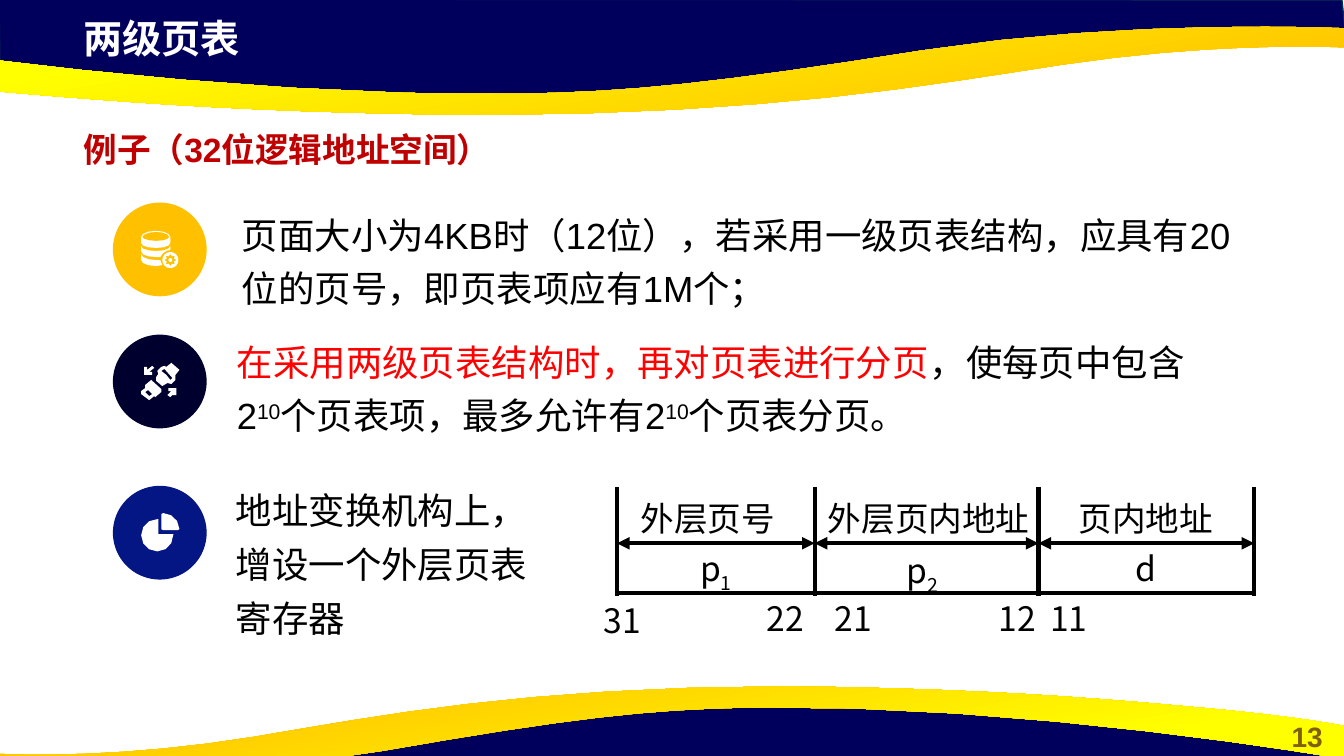
import math
from dataclasses import dataclass

from lxml import etree
from pptx import Presentation
from pptx.dml.color import RGBColor
from pptx.enum import shapes as shape_kinds, text as text_kinds
from pptx.oxml import ns
from pptx.util import Inches, Pt


@dataclass(frozen=True)
class Theme:
    navy: str = "00005C"
    navy_edge: str = "05304F"
    amber: str = "FFC000"
    yellow: str = "FFFF00"
    night: str = "00002E"
    blue: str = "031684"
    white: str = "FFFFFF"
    black: str = "000000"
    red: str = "FF0000"
    heading: str = "C00000"
    olive: str = "806000"
    latin: str = "Arial"
    cjk: str = "Noto Sans CJK SC"
    title_size: int = 28
    body_size: int = 26
    label_size: int = 24
    number_size: int = 20


THEME = Theme()
ALIGN = text_kinds.PP_ALIGN
ANCHOR = text_kinds.MSO_ANCHOR

# In every outline a pair is a corner and a six-tuple is a cubic curve.
NAVY_WAVE = [(-0.01, -0.01), (0, 0.7), (2.93, 1.02), (5.59, 1), (7.95, 0.88),
             (10.16, 0.5), (12.38, 0.33), (13.35, 0.38), (13.31, 0)]
GOLD_WAVE = [(4.83, 1.14), (4.43, 1.14, 4.01, 1.13, 3.56, 1.12),
             (2.06, 1.08, 1.1, 1, 0.36, 0.94), (-0.88, 0.84, -1.3, 0.75, -1.33, 0.75),
             (-1.33, 0.42), (-1.33, 0.42, 2.18, 0.98, 5.17, 0.93),
             (6.26, 0.91, 7.08, 0.83, 9.15, 0.5), (11.21, 0.18, 13.33, 0.28, 13.33, 0.28),
             (13.33, 0.47), (13.3, 0.47), (13.05, 0.46, 11.95, 0.43, 10.55, 0.64),
             (9.18, 0.85, 7.62, 1.13, 4.83, 1.14)]
PIE_ICON = [
    [(1.57, 5.15), (1.57, 5.3), (1.72, 5.3), (1.72, 5.4, 1.65, 5.47, 1.56, 5.47),
     (1.47, 5.47, 1.4, 5.4, 1.4, 5.31), (1.4, 5.22, 1.47, 5.15, 1.56, 5.15)],
    [(1.62, 5.09), (1.7, 5.09, 1.78, 5.16, 1.78, 5.25), (1.76, 5.26), (1.62, 5.26),
     (1.6, 5.25), (1.6, 5.1)]]
SATELLITE_ICON = [
    [(1.47, 3.87), (1.44, 3.89), (1.48, 3.93), (1.51, 3.91)],
    [(1.67, 3.85), (1.75, 3.85), (1.75, 3.92), (1.71, 3.92), (1.69, 3.94), (1.66, 3.92),
     (1.7, 3.88), (1.67, 3.88)],
    [(1.5, 3.77), (1.6, 3.86), (1.6, 3.89), (1.54, 3.94), (1.53, 3.93), (1.48, 3.97),
     (1.4, 3.91), (1.4, 3.88), (1.44, 3.85), (1.44, 3.82)],
    [(1.63, 3.66), (1.6, 3.68), (1.65, 3.72), (1.69, 3.77), (1.71, 3.75)],
    [(1.51, 3.63), (1.53, 3.65), (1.48, 3.69), (1.51, 3.69), (1.51, 3.72), (1.43, 3.72),
     (1.43, 3.64), (1.46, 3.64), (1.46, 3.67)],
    [(1.7, 3.6), (1.78, 3.67), (1.74, 3.72), (1.74, 3.77), (1.7, 3.81), (1.66, 3.8),
     (1.61, 3.83), (1.55, 3.78), (1.55, 3.74), (1.57, 3.71), (1.56, 3.68), (1.6, 3.64),
     (1.63, 3.63), (1.65, 3.64)]]


def circular(x, y, radii, count=16):
    """Closed outline round (x, y), whose radii take turns."""
    return [(x + radii[i % len(radii)] * math.cos(math.tau * i / count),
             y + radii[i % len(radii)] * math.sin(math.tau * i / count))
            for i in range(count)]


DATABASE_ICON = [
    circular(1.69, 2.58, [0.08]),
    circular(1.69, 2.58, [0.06, 0.04]),
    circular(1.69, 2.58, [0.02], count=8),
    [(1.4, 2.52), (1.4, 2.55, 1.46, 2.58, 1.55, 2.58), (1.59, 2.58), (1.61, 2.63),
     (1.55, 2.64), (1.46, 2.64, 1.4, 2.61, 1.4, 2.58)],
    [(1.4, 2.44), (1.4, 2.47, 1.46, 2.49, 1.55, 2.49), (1.63, 2.49, 1.69, 2.47, 1.69, 2.44),
     (1.69, 2.48), (1.65, 2.48, 1.61, 2.51, 1.59, 2.55), (1.55, 2.55),
     (1.46, 2.55, 1.4, 2.53, 1.4, 2.49)],
    [(1.55, 2.29), (1.63, 2.29, 1.69, 2.32, 1.69, 2.35), (1.69, 2.41),
     (1.69, 2.44, 1.63, 2.46, 1.55, 2.46), (1.46, 2.46, 1.4, 2.44, 1.4, 2.41), (1.4, 2.35),
     (1.4, 2.32, 1.46, 2.29, 1.55, 2.29)],
    [(1.55, 2.3), (1.47, 2.3, 1.41, 2.33, 1.41, 2.35), (1.41, 2.37, 1.47, 2.39, 1.55, 2.39),
     (1.63, 2.39, 1.68, 2.37, 1.68, 2.35), (1.68, 2.33, 1.63, 2.3, 1.55, 2.3)]]


def flatten(outline):
    """Turn curves into short straight pieces, three for a small curve, eight for a large."""
    points = []
    for part in outline:
        if len(part) == 2:
            points.append(part)
            continue
        corners = [points[-1], part[:2], part[2:4], part[4:]]
        steps = 8 if math.dist(corners[0], corners[-1]) > 0.4 else 3
        for step in range(1, steps + 1):
            t = step / steps
            weights = [math.comb(3, i) * t**i * (1 - t)**(3 - i) for i in range(4)]
            points.append(tuple(sum(w * c[axis] for w, c in zip(weights, corners))
                                for axis in (0, 1)))
    return points


def paint(shape, color, edge=None):
    shape.shadow.inherit = False
    shape.fill.solid()
    shape.fill.fore_color.rgb = RGBColor.from_string(color)
    if edge:
        shape.line.color.rgb = RGBColor.from_string(edge)
        shape.line.width = Pt(1)
    else:
        shape.line.fill.background()


def add_outline(shapes, outlines, color, edge=None):
    loops = [[(Inches(x), Inches(y)) for x, y in flatten(outline)] for outline in outlines]
    builder = shapes.build_freeform(*loops[0][0])
    for number, loop in enumerate(loops):
        if number:
            builder.move_to(*loop[0])
        builder.add_line_segments(loop[1:], close=True)
    shape = builder.convert_to_shape()
    paint(shape, color, edge)
    return shape


def add_gold_wave(shapes, outline, angle):
    wave = add_outline(shapes, [outline], THEME.amber)
    wave.fill.gradient()
    wave.fill.gradient_angle = angle
    stops = [(0.11, THEME.amber), (0.78, THEME.yellow)]
    for stop, (position, color) in zip(wave.fill.gradient_stops, stops):
        stop.position = position
        stop.color.rgb = RGBColor.from_string(color)


def add_text(shapes, text, left, top, width, height, *, size, color=THEME.black,
             font=THEME.latin, bold=False, align=ALIGN.LEFT, anchor=ANCHOR.TOP,
             indent=0, spacing=None, wrap=True):
    """Text is a string or a list of (string, colour, baseline percent)."""
    box = shapes.add_textbox(Inches(left), Inches(top), Inches(width), Inches(height))
    box.text_frame.word_wrap = wrap
    box.text_frame.vertical_anchor = anchor
    para = box.text_frame.paragraphs[0]
    para.alignment = align
    if spacing:
        para.line_spacing = spacing
    if indent:
        para._p.get_or_add_pPr().set("marL", str(Inches(indent)))
    for words, shade, baseline in [(text, color, 0)] if isinstance(text, str) else text:
        span = para.add_run()
        span.text = words
        span.font.size = Pt(size)
        span.font.bold = bold
        span.font.color.rgb = RGBColor.from_string(shade)
        span.font.name = font
        props = span._r.get_or_add_rPr()
        etree.SubElement(props, ns.qn("a:ea"), typeface=THEME.cjk)
        if baseline:
            props.set("baseline", str(baseline * 1000))


def add_rule(shapes, x1, y1, x2, y2, arrows=False):
    rule = shapes.add_connector(shape_kinds.MSO_CONNECTOR.STRAIGHT,
                                Inches(x1), Inches(y1), Inches(x2), Inches(y2))
    rule.line.color.rgb = RGBColor.from_string(THEME.black)
    rule.line.width = Pt(3)
    if arrows:
        for end in ("a:headEnd", "a:tailEnd"):
            etree.SubElement(rule.line._get_or_add_ln(), ns.qn(end), type="triangle")
    etree.SubElement(rule._element.spPr, ns.qn("a:effectLst"))


def add_waves(shapes):
    """The lower waves are the upper ones turned half round."""
    add_outline(shapes, [NAVY_WAVE], THEME.navy, THEME.navy_edge)
    add_gold_wave(shapes, GOLD_WAVE, 100)
    add_outline(shapes, [[(13.32 - x, 7.93 - y) for x, y in NAVY_WAVE]],
                THEME.navy, THEME.navy_edge)
    squeeze = 13.34 / 14.66
    turned = [tuple(7.95 - v if i % 2 else 13.33 - (v + 1.33) * squeeze
                    for i, v in enumerate(part)) for part in GOLD_WAVE]
    add_gold_wave(shapes, turned, 280)


def add_badge(shapes, top, color, icon):
    disc = shapes.add_shape(shape_kinds.MSO_SHAPE.OVAL, Inches(1.12), Inches(top),
                            Inches(0.93), Inches(0.93))
    paint(disc, color)
    add_outline(shapes, icon, THEME.white)


def add_address_diagram(shapes):
    edges = [6.12, 8.08, 10.3, 12.44]
    for x in edges:
        add_rule(shapes, x, 4.83, x, 5.91)
    add_rule(shapes, edges[0], 5.88, edges[-1], 5.88)
    for left, right in zip(edges, edges[1:]):
        add_rule(shapes, left, 5.39, right, 5.39, arrows=True)
    labels = [("外层页号", 6.21, 4.89, 1.62), ("外层页内地址", 8.1, 4.89, 2.22),
              ("页内地址", 10.47, 4.89, 1.79),
              ([("p", THEME.black, 0), ("1", THEME.black, -25)], 6.46, 5.39, 1.28),
              ([("p", THEME.black, 0), ("2", THEME.black, -25)], 8.51, 5.41, 1.28),
              ("d", 10.73, 5.39, 1.28), ("31", 5.87, 5.9, 0.6), ("22", 7.49, 5.88, 0.6),
              ("21", 8.08, 5.88, 0.77), ("12", 9.62, 5.88, 0.94), ("11", 10.13, 5.88, 0.94)]
    for label, left, top, width in labels:
        add_text(shapes, label, left, top, width, 0.51, size=THEME.label_size,
                 font=THEME.cjk, align=ALIGN.CENTER, wrap=False)


def main():
    deck = Presentation()
    deck.slide_width, deck.slide_height = Inches(13.33), Inches(7.5)
    page = deck.slides.add_slide(deck.slide_layouts[6])
    shapes = page.shapes
    add_waves(shapes)
    add_text(shapes, "13", 12.6, 7.09, 0.73, 0.44, size=THEME.number_size,
             color=THEME.olive, bold=True, align=ALIGN.CENTER)
    add_text(shapes, "两级页表", 0.73, 0.09, 7.68, 0.57, size=THEME.title_size,
             color=THEME.white, bold=True)
    add_text(shapes, "例子（32位逻辑地址空间）", 0.73, 1.23, 11.24, 0.64,
             size=THEME.label_size, color=THEME.heading, bold=True)
    add_badge(shapes, 2.01, THEME.amber, DATABASE_ICON)
    add_badge(shapes, 3.32, THEME.night, SATELLITE_ICON)
    add_badge(shapes, 4.82, THEME.blue, PIE_ICON)
    two_level = [("在采用两级页表结构时，再对页表进行分页", THEME.red, 0),
                 ("，使每页中包含2", THEME.black, 0), ("10", THEME.black, 30),
                 ("个页表项，最多允许有2", THEME.black, 0), ("10", THEME.black, 30),
                 ("个页表分页。", THEME.black, 0)]
    points = [("页面大小为4KB时（12位），若采用一级页表结构，应具有20位的页号，即页表项应有1M个；",
               1.8, 1.85, 10.64, 1.39, 0.5),
              (two_level, 2.25, 3.22, 10.01, 1.17, 0),
              ("地址变换机构上，增设一个外层页表寄存器", 1.74, 4.58, 3.72, 1.93, 0.5)]
    for words, left, top, width, height, indent in points:
        add_text(shapes, words, left, top, width, height, size=THEME.body_size,
                 anchor=ANCHOR.MIDDLE, indent=indent, spacing=1.23)
    add_address_diagram(shapes.add_group_shape().shapes)
    deck.save("out.pptx")


if __name__ == "__main__":
    main()
